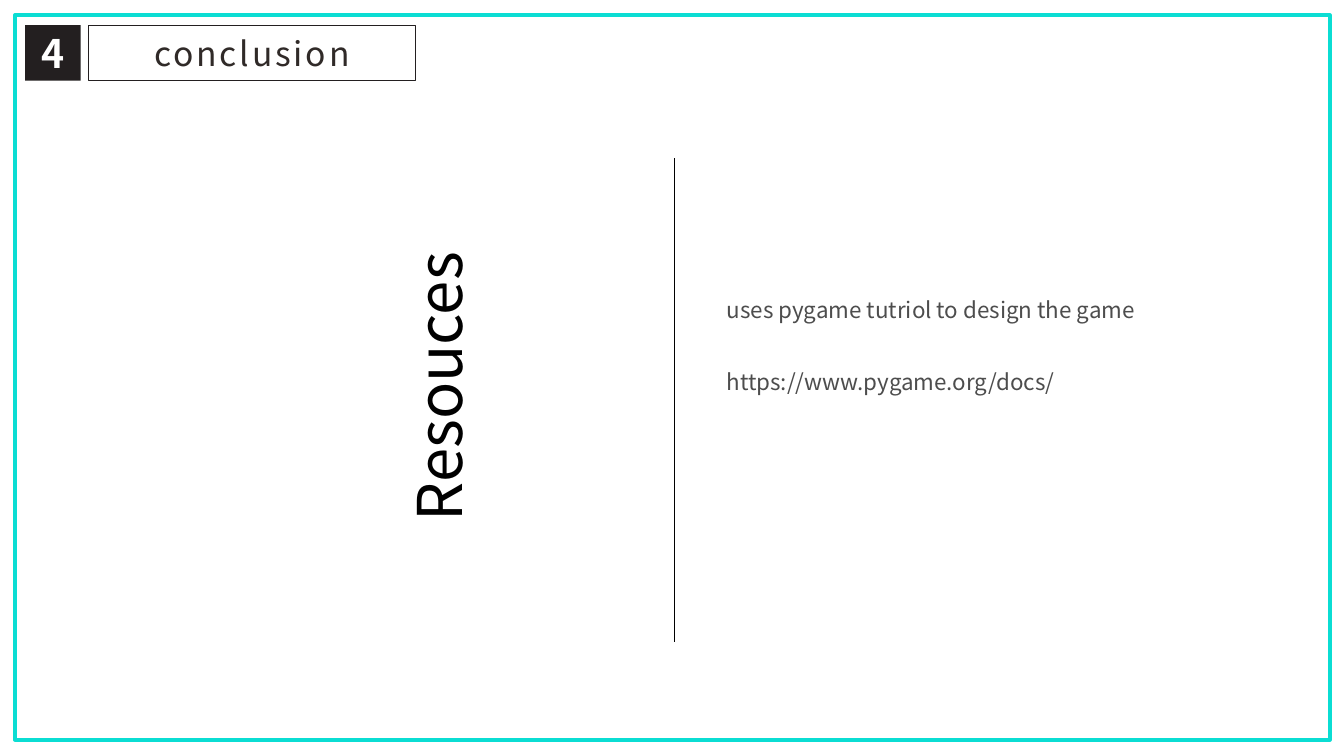
from pptx import Presentation
from pptx.dml.color import RGBColor
from pptx.enum.shapes import MSO_CONNECTOR, MSO_SHAPE
from pptx.enum.text import MSO_ANCHOR, MSO_AUTO_SIZE, PP_ALIGN
from pptx.oxml.ns import qn
from pptx.util import Inches, Pt
from lxml.etree import SubElement

# Content
FONT = "Noto Sans CJK SC"
SECTION_NUMBER = "4"
TITLE = "conclusion"
HEADING = "Resouces"
RESOURCES = ["uses pygame tutriol to design the game", "https://www.pygame.org/docs/"]
SPACE_BEFORE = [10, 34]  # points, one per resource line

# Places: left, top, width, height in inches
FRAME = (0.15, 0.15, 13.04, 7.19)
NUMBER = (0.25, 0.25, 0.55, 0.55)
TITLE_BOX = (0.88, 0.25, 3.24, 0.55)
HEADING_BOX = (2.42, 2.92, 3.86, 0.84)
RESOURCE_BOX = (7.11, 2.92, 5.49, 1.11)
DIVIDER = (6.69, 1.57, 6.69, 6.37)  # start and end points

INK = "231F20"


def color(value):
    return RGBColor.from_string(value)


def inches(values):
    return [Inches(value) for value in values]


def outline(shape, value, width):
    shape.line.color.rgb = color(value)
    shape.line.width = Pt(width)


def format_text(para, size, value, bold=False):
    for span in para.runs:
        span.font.name = FONT
        span.font.size = Pt(size)
        span.font.bold = bold
        span.font.color.rgb = color(value)
        properties = span._r.get_or_add_rPr()
        SubElement(properties, qn("a:ea")).set("typeface", FONT)


def add_rectangle(page, place):
    shape = page.shapes.add_shape(MSO_SHAPE.RECTANGLE, *inches(place))
    shape.shadow.inherit = False
    return shape


def add_text_box(page, place):
    box = page.shapes.add_textbox(*inches(place))
    box.text_frame.word_wrap = True
    return box


deck = Presentation()
deck.slide_width, deck.slide_height = inches((13.33, 7.5))
page = deck.slides.add_slide(deck.slide_layouts[5])

# Divider line
divider = page.shapes.add_connector(MSO_CONNECTOR.STRAIGHT, *inches(DIVIDER))
outline(divider, "000000", 0.5)
SubElement(divider._element.spPr, qn("a:effectLst"))

# Resource lines
frame = add_text_box(page, RESOURCE_BOX).text_frame
frame.text = "\n".join(RESOURCES)
for para, space in zip(frame.paragraphs, SPACE_BEFORE):
    para.line_spacing = 0.9
    para.space_before = Pt(space)
    format_text(para, 16, "4D4D4D")

# Slide border
border = add_rectangle(page, FRAME)
border.fill.background()
outline(border, "0BDDD3", 2.63)

# Section number
number = add_rectangle(page, NUMBER)
number.fill.solid()
number.fill.fore_color.rgb = color(INK)
number.line.fill.background()
frame = number.text_frame
frame.margin_left = frame.margin_right = frame.margin_top = frame.margin_bottom = 0
frame.vertical_anchor = MSO_ANCHOR.MIDDLE
frame.text = SECTION_NUMBER
frame.paragraphs[0].alignment = PP_ALIGN.CENTER
format_text(frame.paragraphs[0], 28, "FFFFFF", bold=True)

# Title in its outlined box
title = page.shapes.title
title.left, title.top, title.width, title.height = inches(TITLE_BOX)
outline(title, INK, 1)
frame = title.text_frame
frame.auto_size = MSO_AUTO_SIZE.NONE
frame.vertical_anchor = MSO_ANCHOR.MIDDLE
frame.text = TITLE
frame.paragraphs[0].alignment = PP_ALIGN.CENTER
format_text(frame.paragraphs[0], 24, "302A28")
frame.paragraphs[0].runs[0]._r.get_or_add_rPr().set("spc", "200")

# Heading turned to read upwards
heading = add_text_box(page, HEADING_BOX)
heading.rotation = 270
heading.text_frame.text = HEADING
format_text(heading.text_frame.paragraphs[0], 44, "000000")

deck.save("out.pptx")
